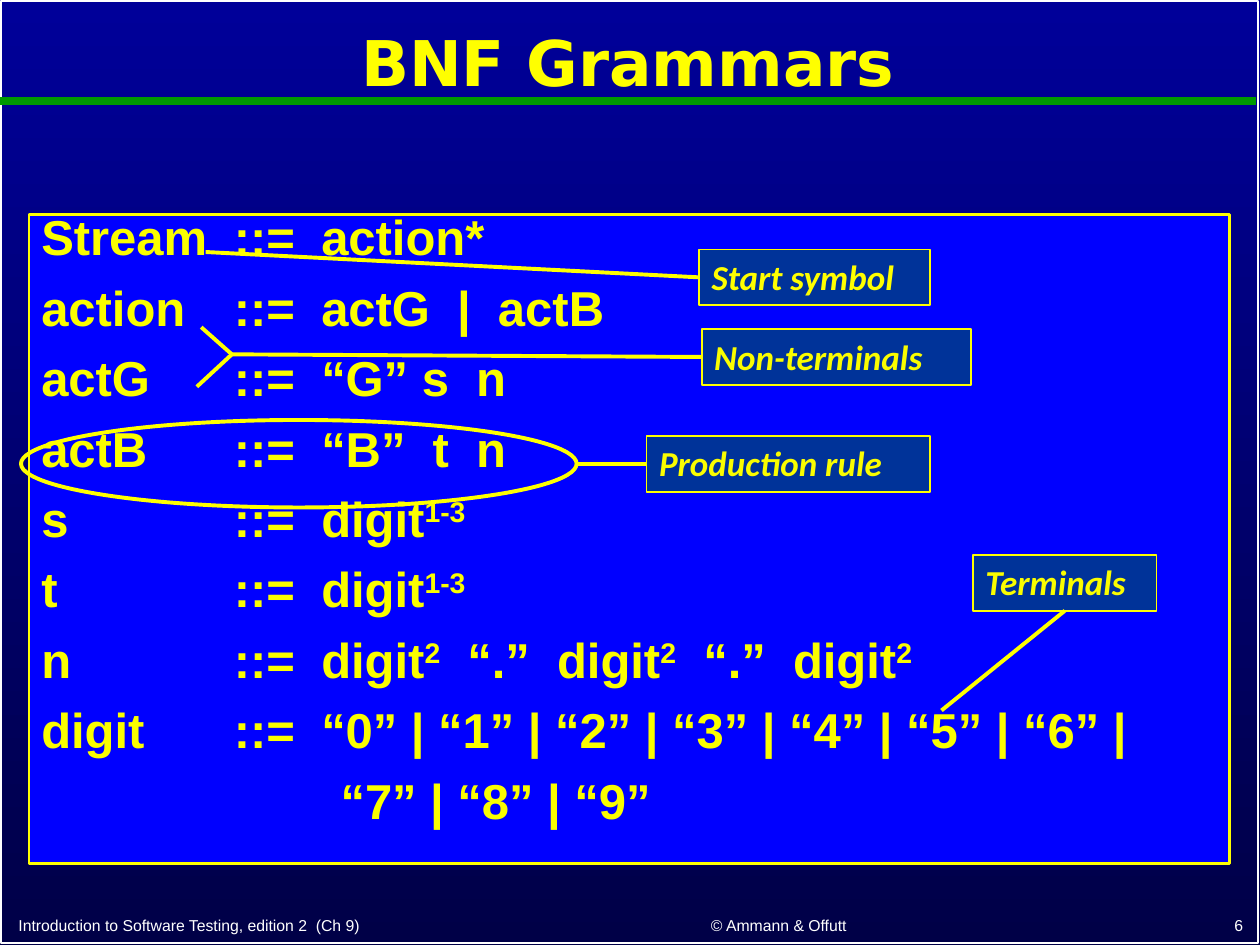
from lxml import etree
from pptx import Presentation
from pptx.dml.color import RGBColor
from pptx.enum.shapes import MSO_CONNECTOR, MSO_SHAPE
from pptx.enum.text import MSO_ANCHOR, PP_ALIGN
from pptx.oxml.ns import qn
from pptx.util import Pt

RECTANGLE, ELLIPSE = MSO_SHAPE.RECTANGLE, MSO_SHAPE.OVAL
STRAIGHT = MSO_CONNECTOR.STRAIGHT
TOP, MIDDLE, BOTTOM = MSO_ANCHOR.TOP, MSO_ANCHOR.MIDDLE, MSO_ANCHOR.BOTTOM
LEFT, CENTER, RIGHT = PP_ALIGN.LEFT, PP_ALIGN.CENTER, PP_ALIGN.RIGHT
BOTTOM_SITE, LEFT_SITE = 2, 1

THEME = {
    "sky": "000099", "night": "000047", "white": "FFFFFF", "green": "009900",
    "yellow": "FFFF00", "ink": "FAFD00", "panel": "0000FF", "label": "003399",
    "title": ("DejaVu Sans", 36), "grammar": ("Arial", 28),
    "callout": ("Calibri", 20), "footer": ("Arial", 9),
}

TITLE = "BNF Grammars"
RULES = [
    ("Stream", "action*"),
    ("action", "actG  |  actB"),
    ("actG", "“G” s  n"),
    ("actB", "“B”  t  n"),
    ("s", "digit^1-3"),
    ("t", "digit^1-3"),
    ("n", "digit^2^  “.”  digit^2^  “.”  digit^2"),
    ("digit", "“0” | “1” | “2” | “3” | “4” | “5” | “6” |"),
]
CONTINUATION = "“7” | “8” | “9”"
CALLOUTS = [
    ("Non-terminals", (401, 188, 154, 32), "ink", LEFT_SITE, (132.5, 202.5)),
    ("Terminals", (556, 317, 105, 32), "ink", BOTTOM_SITE, (538, 406)),
    ("Production rule", (369.5, 249, 162, 32), "ink", LEFT_SITE, (329.5, 265)),
    ("Start symbol", (399.5, 142.5, 132, 32), "yellow", LEFT_SITE, (117.5, 144)),
]
FORK_TIPS = [(115, 187), (112.5, 221)]
RULE_OVAL = (12, 240, 317.5, 50)
FOOTERS = [
    ("Introduction to Software Testing, edition 2  (Ch 9)", (3.5, 517.5, 313, 20), LEFT),
    ("© Ammann & Offutt", (331, 517.5, 228, 20), CENTER),
    ("6", (567.5, 517.5, 150, 20), RIGHT),
]
OPERATOR_TAB, BODY_TAB, CONTINUATION_INDENT = 110, 160, 171


def color(name):
    return RGBColor.from_string(THEME[name])


def add_box(slide, frame, kind=RECTANGLE, fill=None, line="yellow", weight=1):
    box = slide.shapes.add_shape(kind, *map(Pt, frame))
    box.shadow.inherit = False
    if fill:
        box.fill.solid()
        box.fill.fore_color.rgb = color(fill)
    else:
        box.fill.background()
    box.line.color.rgb = color(line)
    box.line.width = Pt(weight)
    return box


def add_line(slide, start, end, line="yellow", weight=2.25):
    link = slide.shapes.add_connector(STRAIGHT, *map(Pt, (*start, *end)))
    link.line.color.rgb = color(line)
    link.line.width = Pt(weight)
    etree.SubElement(link._element.spPr, qn("a:effectLst"))
    return link


def style(paragraph, role, ink, align=LEFT, bold=False, italic=False):
    paragraph.alignment = align
    font = paragraph.font
    font.name, size = THEME[role]
    font.size = Pt(size)
    font.bold, font.italic = bold, italic
    font.color.rgb = color(ink)


def write(box, text, anchor, *look, **emphasis):
    frame = box.text_frame
    frame.word_wrap = True
    frame.vertical_anchor = anchor
    frame.text = text
    style(frame.paragraphs[0], *look, **emphasis)
    return frame.paragraphs[0]


def add_tabs(paragraph, *stops):
    tabs = etree.SubElement(paragraph._p.get_or_add_pPr(), qn("a:tabLst"))
    for stop in stops:
        etree.SubElement(tabs, qn("a:tab"), pos=str(Pt(stop)), algn="l")


def fill_grammar(panel):
    frame = panel.text_frame
    frame.word_wrap = True
    frame.vertical_anchor = TOP
    lines = [f"{name}\t::=\t{body}" for name, body in RULES] + [CONTINUATION]
    for index, line in enumerate(lines):
        paragraph = frame.add_paragraph() if index else frame.paragraphs[0]
        paragraph.line_spacing = 0.75
        if index:
            paragraph.space_before = Pt(15)
        if line == CONTINUATION:
            paragraph._p.get_or_add_pPr().set("marL", str(Pt(CONTINUATION_INDENT)))
        else:
            add_tabs(paragraph, OPERATOR_TAB, BODY_TAB)
        style(paragraph, "grammar", "ink", bold=True)
        for part, text in enumerate(line.split("^")):
            run = paragraph.add_run()
            run.text = text
            if part % 2:
                run.font._element.set("baseline", "30000")


def main():
    deck = Presentation()
    deck.slide_width, deck.slide_height = Pt(720), Pt(540)
    slide = deck.slides.add_slide(deck.slide_layouts[6])

    backdrop = slide.background.fill
    backdrop.gradient()
    backdrop.gradient_angle = 270
    for stop, name in zip(backdrop.gradient_stops, ("sky", "night")):
        stop.color.rgb = color(name)

    add_box(slide, (0.75, 0.75, 718, 538), line="white")
    add_line(slide, (0, 57.5), (718, 57.5), "green", 4.5)
    for text, frame, align in FOOTERS:
        write(slide.shapes.add_textbox(*map(Pt, frame)), text, BOTTOM,
              "footer", "white", align)
    heading = slide.shapes.add_textbox(*map(Pt, (0.75, 8, 716, 60)))
    write(heading, TITLE, MIDDLE, "title", "yellow", CENTER, bold=True).line_spacing = 0.9

    fill_grammar(add_box(slide, (16.5, 122.5, 686, 371), fill="panel", weight=1.5))

    for text, frame, ink, site, target in CALLOUTS:
        label = add_box(slide, frame, fill="label")
        write(label, text, TOP, "callout", ink, bold=True, italic=True)
        add_line(slide, target, frame[:2]).end_connect(label, site)
    fork = CALLOUTS[0][-1]
    for tip in FORK_TIPS:
        add_line(slide, fork, tip)
    add_box(slide, RULE_OVAL, ELLIPSE, weight=2.25)

    deck.save("out.pptx")


if __name__ == "__main__":
    main()
